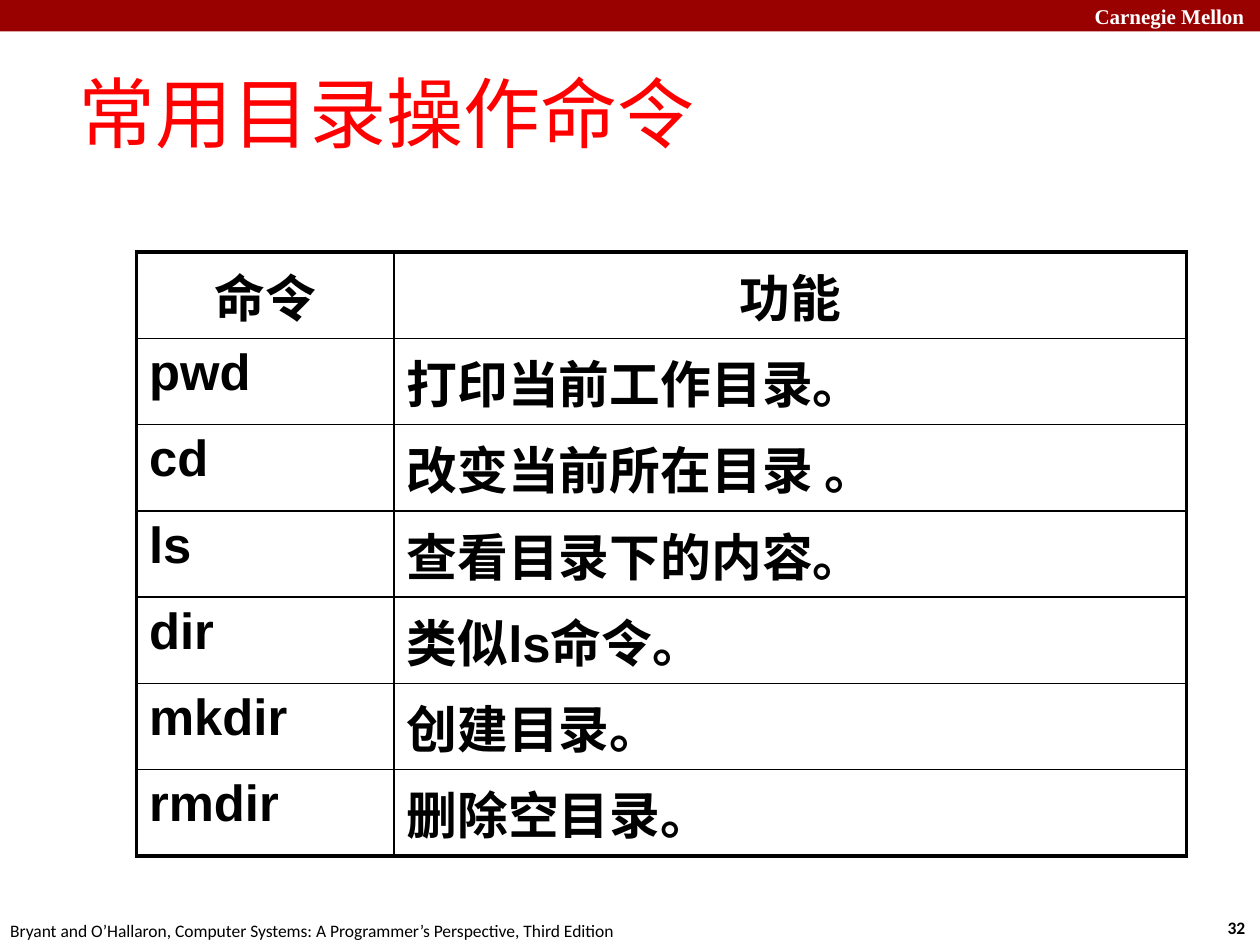
from dataclasses import dataclass

from lxml.etree import SubElement
from pptx import Presentation
from pptx.dml.color import RGBColor
from pptx.enum.shapes import MSO_SHAPE as Shape
from pptx.enum.text import MSO_ANCHOR as Anchor, PP_ALIGN as Align
from pptx.oxml.ns import qn
from pptx.util import Pt


@dataclass(frozen=True)
class Theme:
    ink: str = "000000"
    paper: str = "FFFFFF"
    band: str = "990000"
    title: str = "FF0000"
    body_font: str = "Calibri"
    brand_font: str = "Times New Roman"
    table_font: str = "Arial"
    small_size: float = 10
    brand_size: float = 12
    table_size: float = 29
    title_size: float = 44
    outer_line: float = 2.25
    inner_line: float = 1


class SlideBuilder:
    def __init__(self, slide, theme):
        self.slide = slide
        self.theme = theme

    def style(self, paragraph, size, font, color, bold=False, align=Align.LEFT):
        paragraph.alignment = align
        paragraph.font.size = Pt(size)
        paragraph.font.name = font
        paragraph.font.bold = bold
        paragraph.font.color.rgb = RGBColor.from_string(color)

    def band(self, left, top, width, height):
        shape = self.slide.shapes.add_shape(
            Shape.RECTANGLE, Pt(left), Pt(top), Pt(width), Pt(height))
        shape.shadow.inherit = False
        shape.fill.solid()
        shape.fill.fore_color.rgb = RGBColor.from_string(self.theme.band)
        shape.line.fill.background()

    def text(self, box, text, wrap=False, anchor=Anchor.TOP, inset=None, **style):
        frame = self.slide.shapes.add_textbox(*map(Pt, box)).text_frame
        frame.word_wrap = wrap
        frame.vertical_anchor = anchor
        if inset is not None:
            frame.margin_left = frame.margin_right = Pt(inset)
            frame.margin_top = frame.margin_bottom = Pt(inset)
        frame.text = text
        self.style(frame.paragraphs[0], **style)

    def border(self, cell, side, width):
        properties = cell._tc.get_or_add_tcPr()
        line = SubElement(properties, qn(f"a:ln{side}"), w=str(Pt(width)))
        fill = SubElement(line, qn("a:solidFill"))
        SubElement(fill, qn("a:srgbClr"), val=self.theme.ink)

    def table(self, left, top, widths, row_height, rows):
        theme = self.theme
        table = self.slide.shapes.add_table(
            len(rows), len(widths), Pt(left), Pt(top),
            Pt(sum(widths)), Pt(row_height * len(rows))).table
        table.first_row = table.horz_banding = False
        for column, width in zip(table.columns, widths):
            column.width = Pt(width)
        for r, row in enumerate(rows):
            table.rows[r].height = Pt(row_height)
            for c, text in enumerate(row):
                cell = table.cell(r, c)
                cell.text = text
                self.style(cell.text_frame.paragraphs[0], theme.table_size,
                           theme.table_font, theme.ink, True,
                           Align.LEFT if r else Align.CENTER)
                # Heavy frame outside, thin rules inside
                outer = {"L": c == 0, "R": c == len(widths) - 1,
                         "T": r == 0, "B": r == len(rows) - 1}
                for side, is_outer in outer.items():
                    self.border(cell, side,
                                theme.outer_line if is_outer else theme.inner_line)
                cell.fill.background()


COMMANDS = [
    ("命令", "功能"),
    ("pwd", "打印当前工作目录。"),
    ("cd", "改变当前所在目录 。"),
    ("ls", "查看目录下的内容。"),
    ("dir", "类似ls命令。"),
    ("mkdir", "创建目录。"),
    ("rmdir", "删除空目录。"),
]


def main():
    presentation = Presentation()
    presentation.slide_width, presentation.slide_height = Pt(720), Pt(540)
    slide = presentation.slides.add_slide(presentation.slide_layouts[6])
    theme = Theme()
    builder = SlideBuilder(slide, theme)

    # Footer
    footer = dict(size=theme.small_size, font=theme.body_font,
                  color=theme.ink, align=Align.CENTER)
    builder.text((693.2, 520.5, 26.6, 19.4), "32", bold=True, **footer)
    builder.text((-4.8, 522, 365.8, 19.4),
                 "Bryant and O’Hallaron, Computer Systems: "
                 "A Programmer’s Perspective, Third Edition", **footer)

    # Header band
    builder.band(0, 0, 720, 18)
    builder.text((618.4, -1.4, 100, 21.6), "Carnegie Mellon", bold=True,
                 size=theme.brand_size, font=theme.brand_font, color=theme.paper)

    # Title
    builder.text((41.8, 29.8, 642.2, 68.4), "常用目录操作命令", wrap=True,
                 anchor=Anchor.MIDDLE, inset=2.9, size=theme.title_size,
                 font=theme.body_font, color=theme.title)

    # Command table
    builder.table(78, 144, (147.2, 452.8), 49.3, COMMANDS)

    presentation.save("out.pptx")


if __name__ == "__main__":
    main()
